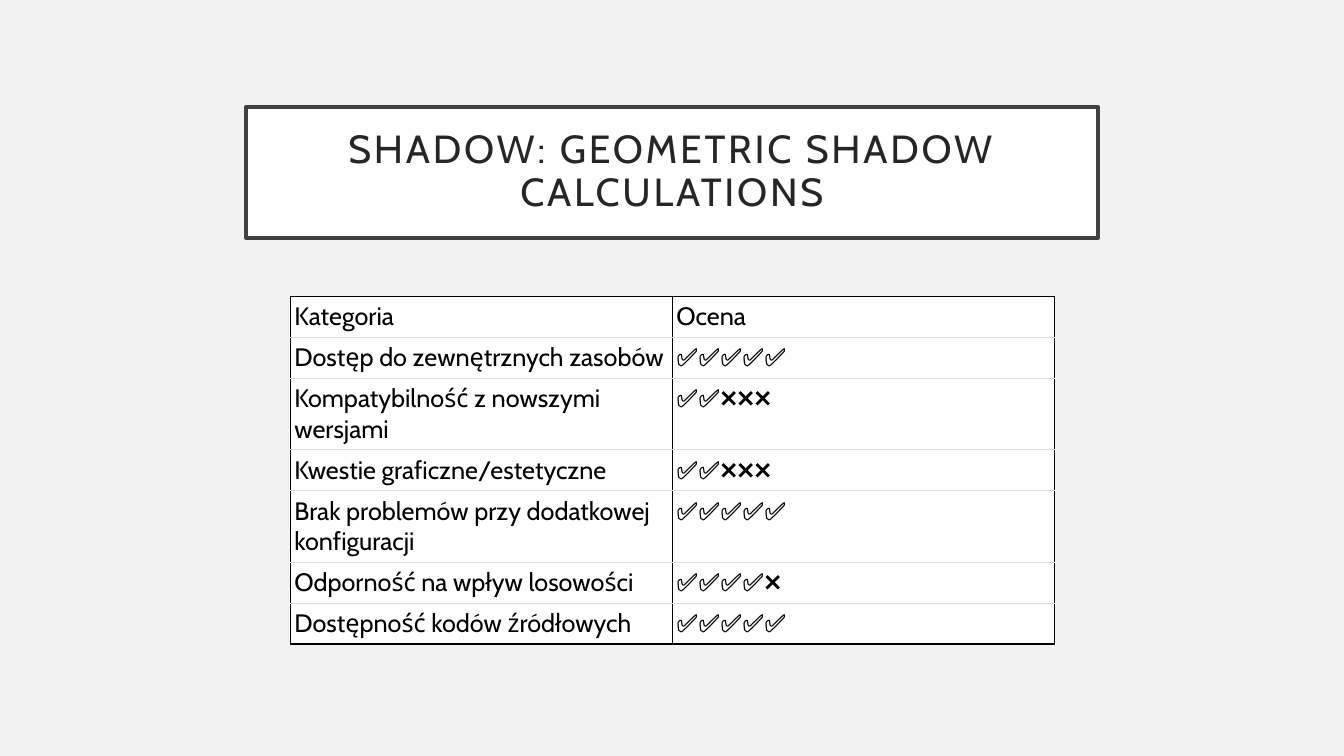
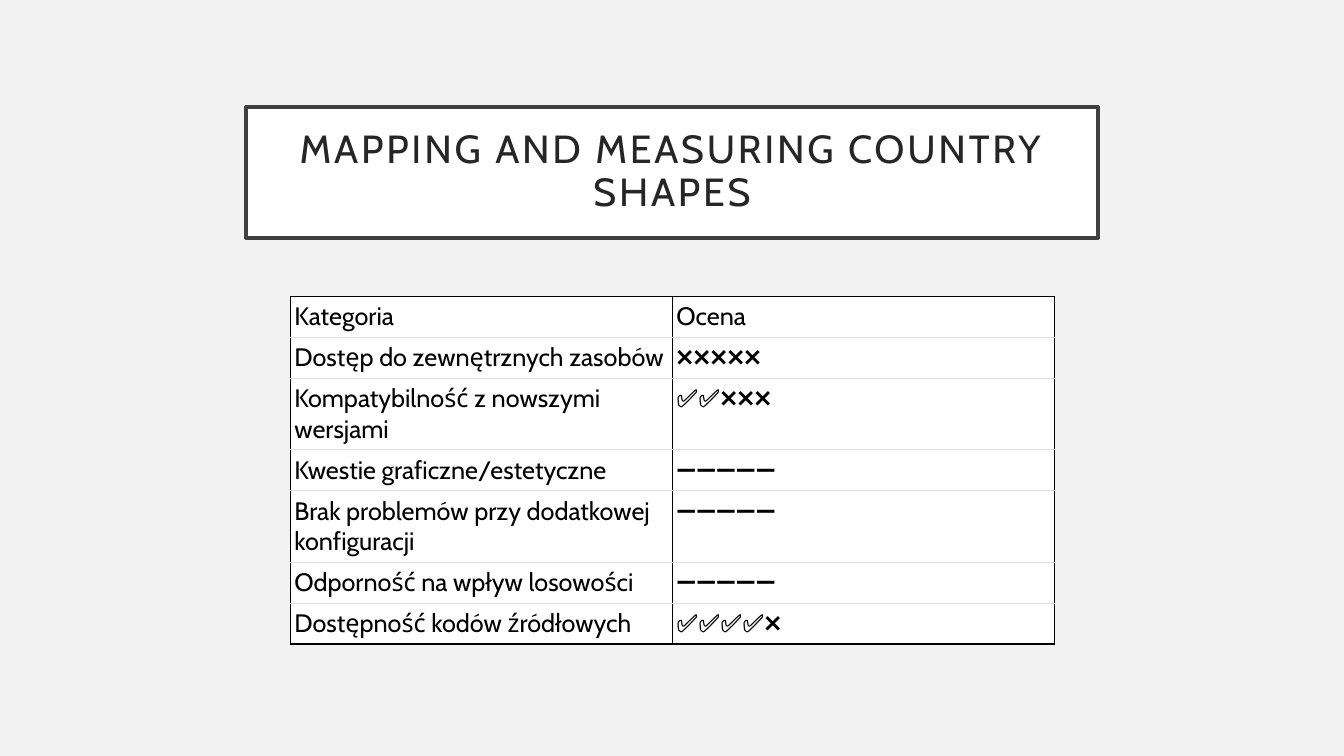
from lxml import etree
from pptx import Presentation
from pptx import util as u
from pptx.dml import color
from pptx.enum import shapes, text
from pptx.oxml import ns

WIDE, HIGH = 13.33, 7.5
FONT = "Cabin"
PAGE, WHITE, FRAME, TITLE = "F2F2F2", "FFFFFF", "404040", "262626"
BLACK, RULE = "000000", "DDDDDD"
HEAD_BOX = (2.44, 1.06, 8.45, 1.3)
GRID_BOX = (2.88, 2.94, 7.58)
ROW, TALL = 0.4, 0.7
YES, NO, NONE = "\u2705", "\u274c", "\u2796"
TOTAL = 5

TOPICS = [
    ("Dostęp do zewnętrznych zasobów", ROW),
    ("Kompatybilność z nowszymi wersjami", TALL),
    ("Kwestie graficzne/estetyczne", ROW),
    ("Brak problemów przy dodatkowej konfiguracji", TALL),
    ("Odporność na wpływ losowości", ROW),
    ("Dostępność kodów źródłowych", ROW),
]
SLIDES = [
    ("SHADOW: GEOMETRIC SHADOW CALCULATIONS", [5, 2, 2, 5, 4, 5]),
    ("MAPPING AND MEASURING COUNTRY SHAPES", [0, 2, None, None, None, 4]),
]


def paint(fill, tone):
    """Give a fill one solid colour."""
    fill.solid()
    fill.fore_color.rgb = color.RGBColor.from_string(tone)


def write(frame, words, size=18, tone=BLACK, align=text.PP_ALIGN.LEFT,
          lead=None, track=None):
    """Put formatted words into a text frame."""
    frame.word_wrap = True
    para = frame.paragraphs[0]
    para.alignment = align
    para.line_spacing = lead
    run = para.add_run()
    run.text = words
    run.font.size = u.Pt(size)
    run.font.name = FONT
    paint(run.font.fill, tone)
    if track:
        run.font._element.set("spc", str(track * 100))


def edge(cell, side, tone, width):
    """Draw one border of a cell; call in the order L, R, T, B."""
    props = cell._tc.get_or_add_tcPr()
    line = etree.SubElement(props, ns.qn("a:ln" + side), w=str(u.Pt(width)))
    solid = etree.SubElement(line, ns.qn("a:solidFill"))
    etree.SubElement(solid, ns.qn("a:srgbClr"), val=tone)


def rate(score):
    """Turn a score into five marks."""
    if score is None:
        return NONE * TOTAL
    return YES * score + NO * (TOTAL - score)


def header(slide, box, words):
    """Draw the framed title."""
    frame = slide.shapes.add_shape(shapes.MSO_SHAPE.RECTANGLE, *map(u.Inches, box))
    frame.shadow.inherit = False
    paint(frame.fill, WHITE)
    paint(frame.line.fill, FRAME)
    frame.line.width = u.Pt(2.5)
    body = frame.text_frame
    body.margin_left = body.margin_right = u.Inches(0.2)
    body.margin_top = body.margin_bottom = u.Inches(0.2)
    body.vertical_anchor = text.MSO_ANCHOR.MIDDLE
    write(body, words, size=28, tone=TITLE, align=text.PP_ALIGN.CENTER,
          lead=0.9, track=2)


def ratings(slide, box, scores):
    """Draw the table of topics and their marks."""
    left, top, width = box
    rows = [("Kategoria", "Ocena", ROW)]
    rows += [(name, rate(score), tall)
             for (name, tall), score in zip(TOPICS, scores)]
    high = sum(row[-1] for row in rows)
    table = slide.shapes.add_table(
        len(rows), 2, *map(u.Inches, (left, top, width, high))).table
    table.first_row = table.horz_banding = False
    last = len(rows) - 1
    for r, (name, marks, tall) in enumerate(rows):
        table.rows[r].height = u.Inches(tall)
        for c, words in enumerate((name, marks)):
            cell = table.cell(r, c)
            cell.margin_left = cell.margin_right = u.Inches(0.04)
            cell.margin_top = cell.margin_bottom = u.Inches(0.05)
            for side, outer in (("L", True), ("R", True),
                                ("T", r == 0), ("B", r == last)):
                edge(cell, side, *((BLACK, 1) if outer else (RULE, 0.57)))
            paint(cell.fill, WHITE)
            write(cell.text_frame, words)


def build(deck, title, scores):
    """Add one review slide."""
    slide = deck.slides.add_slide(deck.slide_layouts[6])
    paint(slide.background.fill, PAGE)
    header(slide, HEAD_BOX, title)
    ratings(slide, GRID_BOX, scores)


deck = Presentation()
deck.slide_width, deck.slide_height = u.Inches(WIDE), u.Inches(HIGH)
for title, scores in SLIDES:
    build(deck, title, scores)
deck.save("out.pptx")
